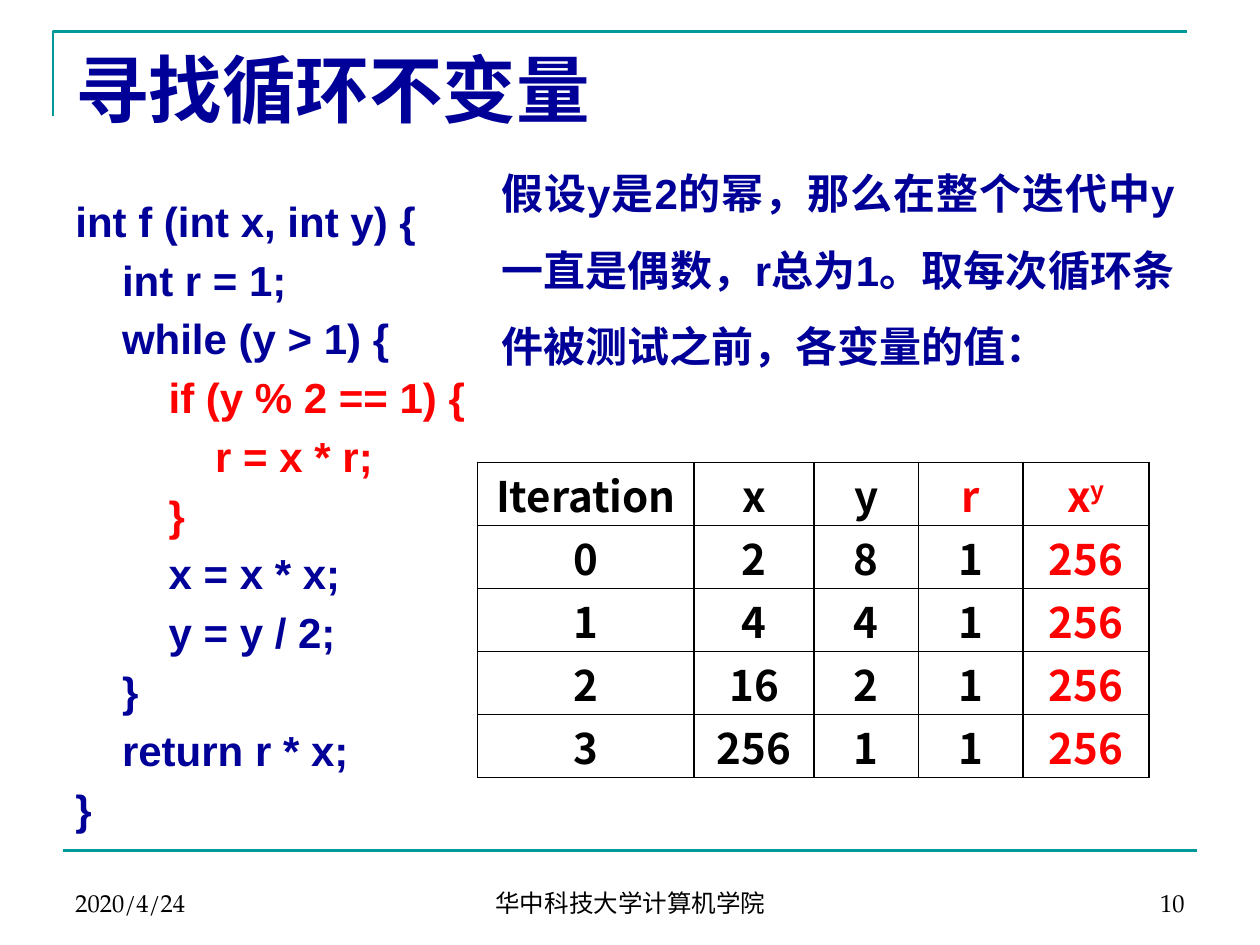
from dataclasses import dataclass

from lxml.etree import SubElement
from pptx import Presentation
from pptx.dml.color import RGBColor
from pptx.enum.shapes import MSO_CONNECTOR, MSO_SHAPE
from pptx.enum.text import MSO_ANCHOR as ANCHOR, PP_ALIGN as ALIGN
from pptx.oxml.ns import qn
from pptx.util import Inches, Pt

COLORS = {"navy": "000099", "red": "FF0000", "teal": "009999",
          "black": "000000", "white": "FFFFFF"}
SERIF, SANS, CJK = "TeX Gyre Pagella", "Arial", "Noto Sans CJK SC"


@dataclass
class Style:
    size: float
    font: str
    color: str
    bold: bool = True


@dataclass
class Label:
    text: str
    box: tuple
    style: Style
    align: ALIGN = ALIGN.LEFT
    anchor: ANCHOR = ANCHOR.TOP


@dataclass
class CodeLine:
    level: int
    text: str
    color: str = "navy"


def rgb(name: str) -> RGBColor:
    return RGBColor.from_string(COLORS[name])


def add_run(p, text: str, style: Style):
    r = p.add_run()
    r.text = text
    for key, value in {"size": Pt(style.size), "name": style.font,
                       "bold": style.bold}.items():
        setattr(r.font, key, value)
    r.font.color.rgb = rgb(style.color)
    SubElement(r.font._element, qn("a:ea")).set("typeface", CJK)
    return r


def add_box(s, box: tuple):
    tf = s.shapes.add_textbox(*map(Inches, box)).text_frame
    tf.word_wrap = True
    return tf


def add_label(s, label: Label) -> None:
    tf = add_box(s, label.box)
    tf.vertical_anchor = label.anchor
    p = tf.paragraphs[0]
    p.alignment = label.align
    add_run(p, label.text, label.style)


def style_line(shape) -> None:
    shape.line.color.rgb = rgb("teal")
    shape.line.width = Pt(1.5)


def add_borders(cell) -> None:
    tc_pr = cell._tc.get_or_add_tcPr()
    for i, side in enumerate(("lnL", "lnR", "lnT", "lnB")):
        ln = tc_pr.makeelement(qn(f"a:{side}"), {"w": str(Pt(1))})
        fill = SubElement(ln, qn("a:solidFill"))
        SubElement(fill, qn("a:srgbClr")).set("val", COLORS["black"])
        tc_pr.insert(i, ln)


prs = Presentation()
prs.slide_width, prs.slide_height = Inches(10), Inches(7.5)
s = prs.slides.add_slide(prs.slide_layouts[6])

# Frame lines
corner = s.shapes.build_freeform(Inches(0.42), Inches(0.92))
corner.add_line_segments([(Inches(0.42), Inches(0.25)),
                          (Inches(9.42), Inches(0.25))], close=False)
frame = corner.convert_to_shape()
frame.fill.background()
style_line(frame)
frame.shadow.inherit = False
rule = s.shapes.add_connector(MSO_CONNECTOR.STRAIGHT, Inches(0.5), Inches(6.75),
                              Inches(9.5), Inches(6.75))
style_line(rule)
SubElement(rule._element.spPr, qn("a:effectLst"))

# Title and footer
small = Style(14, SERIF, "black", False)
for label in (
    Label("2020/4/24", (0.5, 6.83, 2.33, 0.5), small, ALIGN.LEFT, ANCHOR.BOTTOM),
    Label("华中科技大学计算机学院", (3.42, 6.83, 3.17, 0.5), small,
          ALIGN.CENTER, ANCHOR.BOTTOM),
    Label("10", (7.17, 6.83, 2.33, 0.5), small, ALIGN.RIGHT, ANCHOR.BOTTOM),
    Label("寻找循环不变量", (0.5, 0.3, 9, 1.25), Style(42, SERIF, "navy")),
):
    add_label(s, label)

# Code
CODE = [
    CodeLine(0, "int f (int x, int y) {"),
    CodeLine(1, "int r = 1;"),
    CodeLine(1, "while (y > 1) {"),
    CodeLine(2, "if (y % 2 == 1) {", "red"),
    CodeLine(3, "r = x * r;", "red"),
    CodeLine(2, "}", "red"),
    CodeLine(2, "x = x * x;"),
    CodeLine(2, "y = y / 2;"),
    CodeLine(1, "}"),
    CodeLine(1, "return r * x;"),
    CodeLine(0, "}"),
]
tf = add_box(s, (0.5, 1.5, 8.92, 5.35))
for i, line in enumerate(CODE):
    p = tf.add_paragraph() if i else tf.paragraphs[0]
    p.space_before = Pt(4.8)
    p._p.get_or_add_pPr().set("marL", str(Inches(0.37 * line.level)))
    add_run(p, line.text, Style(24, SANS, line.color))

# Explanation
note = s.shapes.add_shape(MSO_SHAPE.RECTANGLE, *map(Inches, (3.5, 1.08, 5.92, 1.84)))
note.shadow.inherit = False
note.fill.solid()
note.fill.fore_color.rgb = rgb("white")
note.line.fill.background()
tf = note.text_frame
tf.word_wrap = True
tf.vertical_anchor = ANCHOR.TOP
p = tf.paragraphs[0]
p.alignment = ALIGN.JUSTIFY
p.line_spacing = Pt(43.5)
p._p.get_or_add_pPr().set("marL", str(Inches(0.38)))
add_run(p, "假设y是2的幂，那么在整个迭代中y一直是偶数，r总为1。"
           "取每次循环条件被测试之前，各变量的值：", Style(24, SANS, "navy"))

# Iteration table
ROWS = [
    ("Iteration", "x", "y", "r", "x"),
    ("0", "2", "8", "1", "256"),
    ("1", "4", "4", "1", "256"),
    ("2", "16", "2", "1", "256"),
    ("3", "256", "1", "1", "256"),
]
WIDTHS = (1.72, 0.95, 0.83, 0.83, 1)
table = s.shapes.add_table(len(ROWS), len(WIDTHS), Inches(3.79), Inches(3.67),
                           Inches(sum(WIDTHS)), Inches(2.5)).table
table.first_row = table.horz_banding = False
for column, width in zip(table.columns, WIDTHS):
    column.width = Inches(width)
for i, row in enumerate(ROWS):
    table.rows[i].height = Inches(0.5)
    for j, text in enumerate(row):
        cell = table.cell(i, j)
        cell.fill.background()
        cell.margin_top, cell.margin_bottom = Inches(0.01), 0
        add_borders(cell)
        p = cell.text_frame.paragraphs[0]
        p.alignment = ALIGN.CENTER
        red = j == 4 or (i, j) == (0, 3)
        style = Style(24, CJK, "red" if red else "black")
        add_run(p, text, style)
        if (i, j) == (0, 4):
            exponent = add_run(p, "y", style)
            exponent.font._element.set("baseline", "30000")

prs.save("out.pptx")
